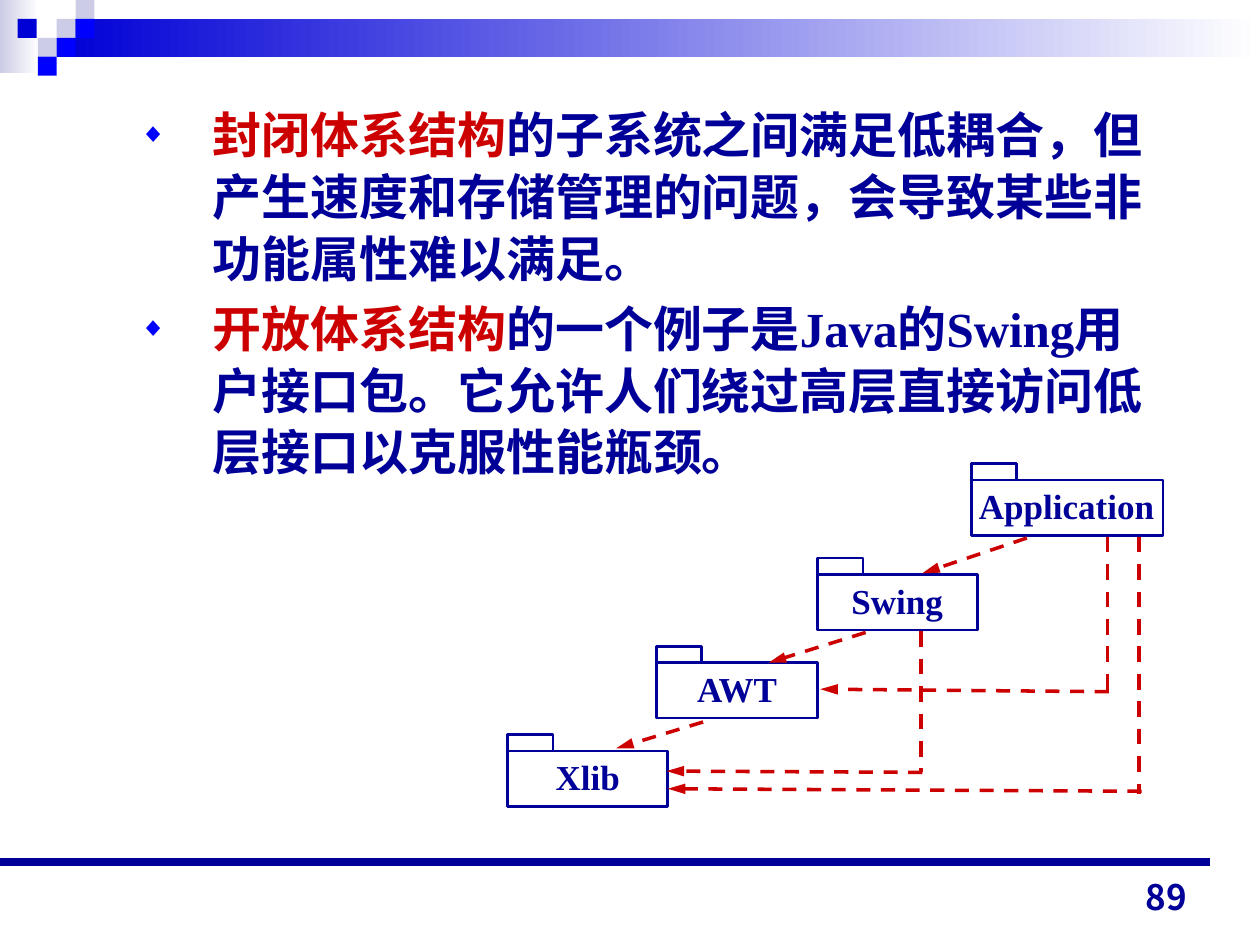
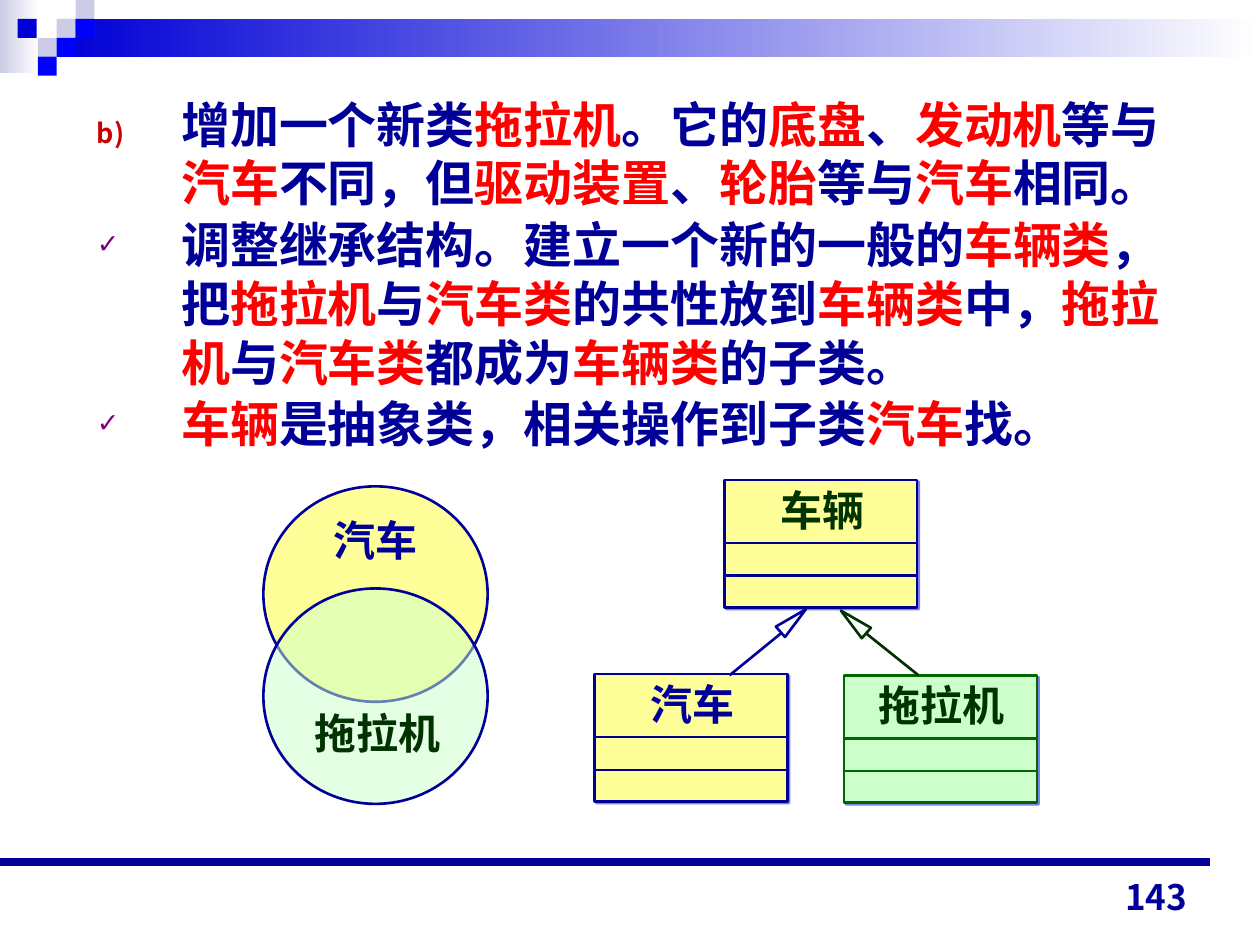
import pptx
import pptx.util
import pptx.dml.color
import pptx.enum.dml
import pptx.enum.shapes
import pptx.enum.text
import pptx.oxml
import pptx.oxml.ns

PX = 9144
COLORS = {
    "navy": "000099", "blue": "0000FF", "royal": "0000D6", "lavender": "CCCCE6",
    "white": "FFFFFF", "crimson": "CC0000", "red": "FF0000", "purple": "800080",
    "yellow": "FFFF99", "mint": "CCFFCC", "green": "006600", "forest": "003300",
}
SERIF, SANS, CJK = "Times New Roman", "Arial", "Noto Sans CJK JP"
SHAPES = pptx.enum.shapes.MSO_SHAPE
ALIGN = pptx.enum.text.PP_ALIGN
Pt = pptx.util.Pt


def rgb(name):
    return pptx.dml.color.RGBColor.from_string(COLORS[name])


def scaled(*lengths):
    return [length * PX for length in lengths]


def add_xml(parent, tag, **attributes):
    element = pptx.oxml.parse_xml(f"<{tag} {pptx.oxml.ns.nsdecls('a')}/>")
    for name, value in attributes.items():
        element.set(name, str(value))
    parent.append(element)
    return element


def add_box(slide, box, fill, line=None, kind=SHAPES.RECTANGLE):
    shape = slide.shapes.add_shape(kind, *scaled(*box))
    shape.shadow.inherit = False
    shape.fill.solid()
    shape.fill.fore_color.rgb = rgb(fill)
    if line:
        shape.line.color.rgb = rgb(line)
        shape.line.width = Pt(1.5)
    else:
        shape.line.fill.background()
    return shape


def add_fade(slide, box, color):
    shape = add_box(slide, box, color)
    shape.fill.gradient()
    shape.fill.gradient_angle = 0
    for stop, name in zip(shape.fill.gradient_stops, (color, "white")):
        stop.color.rgb = rgb(name)


def add_line(slide, start, end, color, width=1.5, dashed=False, arrow=False):
    connector = slide.shapes.add_connector(
        pptx.enum.shapes.MSO_CONNECTOR.STRAIGHT, *scaled(*start, *end))
    connector.line.color.rgb = rgb(color)
    connector.line.width = Pt(width)
    if dashed:
        connector.line.dash_style = pptx.enum.dml.MSO_LINE.DASH
    if arrow:
        add_xml(connector.line._get_or_add_ln(), "a:tailEnd", type="triangle", len="lg")
    add_xml(connector._element.spPr, "a:effectLst")


def add_run(paragraph, text, size, font, color):
    run = paragraph.add_run()
    run.text = text
    run.font.size = Pt(size)
    run.font.bold = True
    run.font.name = font
    run.font.color.rgb = rgb(color)
    properties = run.font._element
    properties.set("lang", "zh-CN")
    add_xml(properties, "a:ea", typeface=CJK)


def add_label(slide, box, text, size, font, color, line_height=None):
    label = slide.shapes.add_textbox(*scaled(*box))
    frame = label.text_frame
    frame.word_wrap = False
    frame.margin_left = frame.margin_right = 0
    paragraph = frame.paragraphs[0]
    paragraph.alignment = ALIGN.CENTER
    if line_height:
        paragraph.line_spacing = Pt(line_height)
    add_run(paragraph, text, size, font, color)


def add_frame(slide, number):
    add_fade(slide, (0, 0, 31, 58), "lavender")
    add_fade(slide, (45, 15, 955, 30), "royal")
    tiles = [(45, 15, "lavender"), (60, 0, "lavender"), (60, 15, "blue"),
             (30, 30, "lavender"), (14, 15, "royal"), (45, 30, "blue"),
             (30, 45, "blue")]
    for left, top, color in tiles:
        add_box(slide, (left, top, 15, 15), color)
    add_line(slide, (0, 684), (960, 684), "navy", 4.5)
    footer = slide.shapes.add_textbox(*scaled(719, 683, 233, 50))
    footer.text_frame.word_wrap = True
    footer.text_frame.vertical_anchor = pptx.enum.text.MSO_ANCHOR.BOTTOM
    paragraph = footer.text_frame.paragraphs[0]
    paragraph.alignment = ALIGN.RIGHT
    add_run(paragraph, str(number), 20, CJK, "navy")


def add_body(slide, box, items, accent, margin, indent, line_height, space_before):
    body = slide.shapes.add_textbox(*scaled(*box))
    frame = body.text_frame
    frame.word_wrap = True
    frame.margin_top = 6 * PX
    for index, (bullet, bullet_color, text) in enumerate(items):
        paragraph = frame.add_paragraph() if index else frame.paragraphs[0]
        paragraph.line_spacing = Pt(line_height)
        paragraph.space_before = Pt(space_before)
        properties = paragraph._p.get_or_add_pPr()
        properties.set("marL", str(margin * PX))
        properties.set("indent", str(-indent * PX))
        numbered = bullet == "b)"
        color = add_xml(properties, "a:buClr")
        add_xml(color, "a:srgbClr", val=COLORS[bullet_color])
        add_xml(properties, "a:buSzPct", val=55000)
        add_xml(properties, "a:buFont", typeface=CJK if numbered else SANS)
        if numbered:
            add_xml(properties, "a:buAutoNum", type="alphaLcParenR", startAt=2)
        else:
            add_xml(properties, "a:buChar", char=bullet)
        for position, part in enumerate(text.split("|")):
            if part:
                add_run(paragraph, part, 28, SERIF, accent if position % 2 else "navy")


def add_package(slide, left, top, width, name, label_width):
    add_box(slide, (left, top, 36, 13), "white", "navy")
    add_box(slide, (left, top + 13, width, 44), "white", "navy")
    label_left = left + (width - label_width) // 2
    add_label(slide, (label_left, top + 12, label_width, 44), name, 20, SERIF, "navy")


def add_package_diagram(slide, left, top):
    packages = [(368, 0, 152, "Application", 159), (246, 75, 127, "Swing", 92),
                (118, 145, 128, "AWT", 86), (0, 215, 127, "Xlib", 71)]
    for x, y, width, name, label_width in packages:
        add_package(slide, left + x, top + y, width, name, label_width)
    stems = [(328, 133, 245), (476, 58, 184), (501, 58, 262)]
    for x, start, end in stems:
        add_line(slide, (left + x, top + start), (left + x, top + end),
                 "crimson", 2.25, dashed=True)
    arrows = [(329, 245, 126, 244), (503, 260, 127, 258), (477, 181, 248, 179),
              (155, 205, 86, 226), (284, 134, 207, 158), (412, 59, 329, 87)]
    for x1, y1, x2, y2 in arrows:
        add_line(slide, (left + x1, top + y1), (left + x2, top + y2),
                 "crimson", 2, dashed=True, arrow=True)


def add_class(slide, left, top, name, fill, line, text_color):
    shape = add_box(slide, (left, top, 153, 101), fill, line)
    effects = shape._element.spPr.find(pptx.oxml.ns.qn("a:effectLst"))
    shadow = add_xml(effects, "a:outerShdw", dist=17961, dir=2700000)
    color = add_xml(shadow, "a:srgbClr", val=COLORS["royal"])
    add_xml(color, "a:alpha", val=50000)
    add_label(slide, (left + 1, top - 2, 153, 50), name, 24, SANS, text_color, 29)
    for offset in (50, 76):
        add_line(slide, (left, top + offset), (left + 153, top + offset), line)


def add_inheritance(slide, start, end, triangle, rotation, color):
    add_line(slide, start, end, color)
    head = add_box(slide, (*triangle, 11, 27), "white", color, SHAPES.ISOSCELES_TRIANGLE)
    head.rotation = rotation


def add_class_diagram(slide, left, top):
    add_class(slide, left, top + 154, "汽车", "yellow", "navy", "navy")
    add_class(slide, left + 198, top + 155, "拖拉机", "mint", "green", "forest")
    add_inheritance(slide, (left + 107, top + 155), (left + 156, top + 115),
                    (left + 152, top + 98), 48.5, "navy")
    add_inheritance(slide, (left + 257, top + 155), (left + 207, top + 115),
                    (left + 200, top + 99), 311.5, "forest")
    add_class(slide, left + 103, top, "车辆", "yellow", "navy", "forest")


def add_venn(slide, left, top):
    add_box(slide, (left, top, 178, 171), "yellow", "navy", SHAPES.OVAL)
    tractor = add_box(slide, (left, top + 81, 178, 171), "mint", "navy", SHAPES.OVAL)
    color = tractor.fill._xPr.find(pptx.oxml.ns.qn("a:solidFill"))[0]
    add_xml(color, "a:alpha", val=50000)
    add_label(slide, (left + 46, top + 17, 86, 50), "汽车", 24, SANS, "navy", 29)
    add_label(slide, (left + 31, top + 170, 120, 50), "拖拉机", 24, SANS, "forest", 29)


def build_architecture_slide(slide):
    add_frame(slide, 89)
    add_body(slide, (51, 75, 885, 541), [
        ("◆", "blue", "|封闭体系结构|的子系统之间满足低耦合，但产生速度和存储管理的问题，"
                      "会导致某些非功能属性难以满足。"),
        ("◆", "blue", "|开放体系结构|的一个例子是Java的Swing用户接口包。"
                      "它允许人们绕过高层直接访问低层接口以克服性能瓶颈。"),
    ], "crimson", 108, 58, 35.2, 5.2)
    add_package_diagram(slide, 403, 368)


def build_inheritance_slide(slide):
    add_frame(slide, 143)
    add_body(slide, (67, 69, 870, 365), [
        ("b)", "crimson", "增加一个新类|拖拉机|。它的|底盘|、|发动机|等与|汽车|不同，但"
                          "|驱动装置|、|轮胎|等与|汽车|相同。"),
        ("✓", "purple", "调整继承结构。建立一个新的一般的|车辆类|，把|拖拉机|与|汽车类|"
                        "的共性放到|车辆类|中，|拖拉机|与|汽车类|都成为|车辆类|的子类。"),
        ("✓", "purple", "|车辆|是抽象类，相关操作到子类|汽车|找。"),
    ], "red", 67, 67, 33.5, 1.8)
    add_class_diagram(slide, 472, 381)
    add_venn(slide, 209, 386)


def main():
    presentation = pptx.Presentation()
    presentation.slide_width, presentation.slide_height = scaled(1000, 750)
    for build in (build_architecture_slide, build_inheritance_slide):
        build(presentation.slides.add_slide(presentation.slide_layouts[6]))
    presentation.save("out.pptx")


if __name__ == "__main__":
    main()
